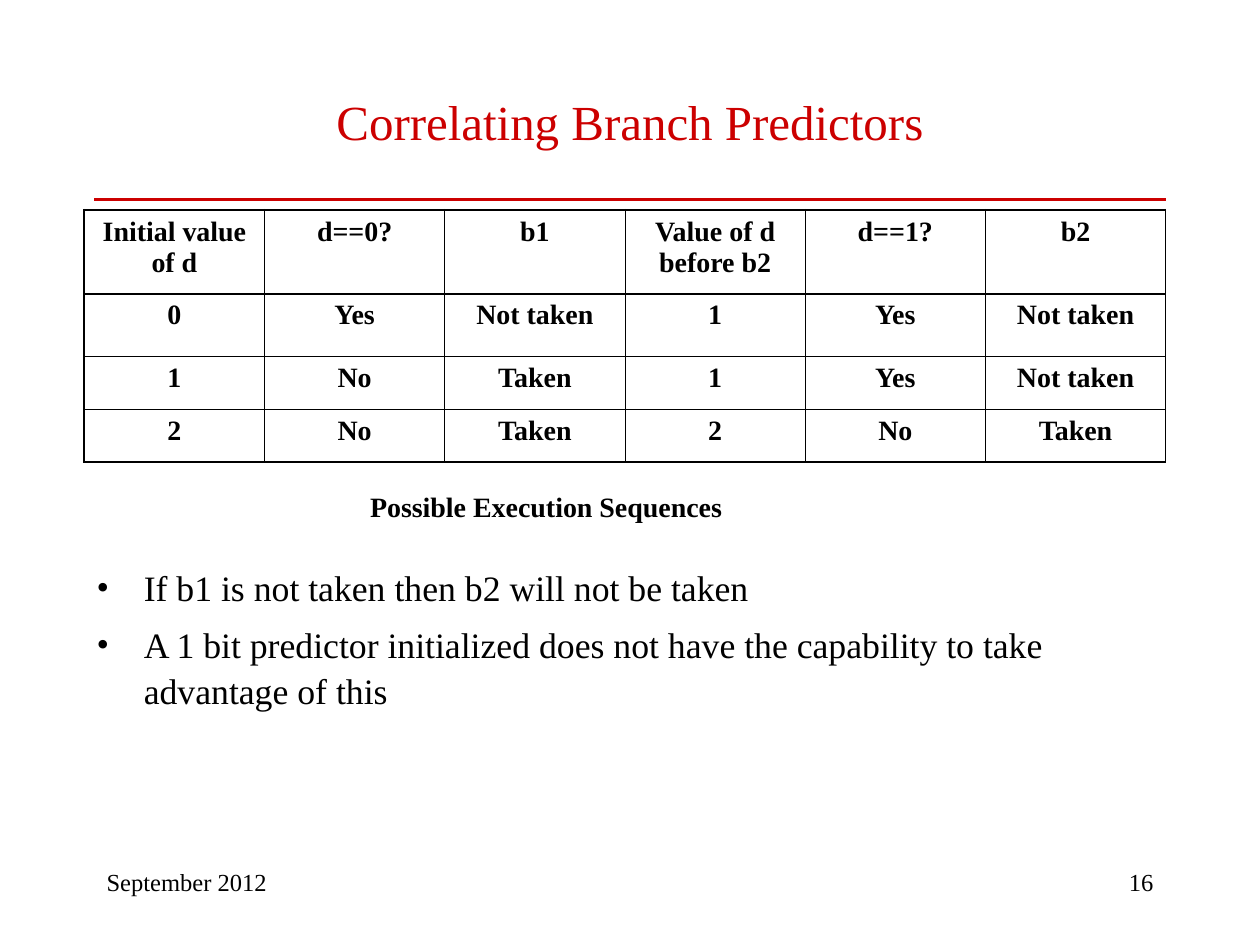
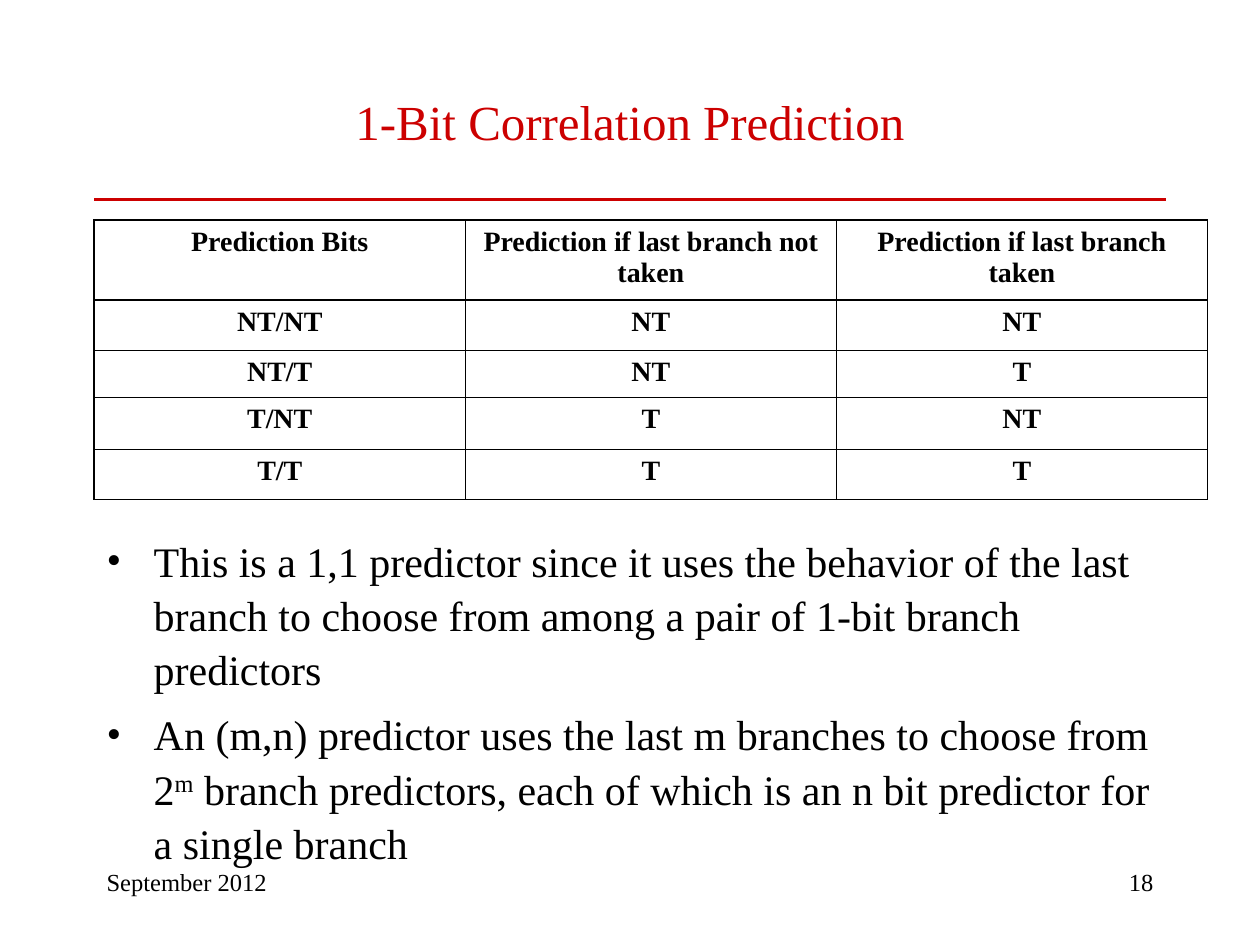
from dataclasses import dataclass

from lxml import etree
from pptx import Presentation
from pptx import util as u
from pptx.dml.color import RGBColor
from pptx.enum import shapes, text
from pptx.oxml import ns

SLIDES = [
    {
        "title": "Correlating Branch Predictors",
        "number": "16",
        "table": {
            "at": (1.7, 4.23),
            "width": 21.8,
            "row_heights": (1.69, 1.27, 1.06, 1.06),
            "rows": [
                ("Initial value of d", "d==0?", "b1", "Value of d before b2", "d==1?", "b2"),
                ("0", "Yes", "Not taken", "1", "Yes", "Not taken"),
                ("1", "No", "Taken", "1", "Yes", "Not taken"),
                ("2", "No", "Taken", "2", "No", "Taken"),
            ],
        },
        "caption": "Possible Execution Sequences",
        "bullets_at": (1.7, 11.22),
        "bullet_size": 20.4,
        "bullets": [
            "If b1 is not taken then b2 will not be taken",
            "A 1 bit predictor initialized does not have the capability to take advantage of this",
        ],
    },
    {
        "title": "1-Bit Correlation Prediction",
        "number": "18",
        "table": {
            "at": (1.9, 4.44),
            "width": 22.44,
            "row_heights": (1.61, 1.01, 0.95, 1.05, 1.01),
            "rows": [
                ("Prediction Bits", "Prediction if last branch not taken", "Prediction if last branch taken"),
                ("NT/NT", "NT", "NT"),
                ("NT/T", "NT", "T"),
                ("T/NT", "T", "NT"),
                ("T/T", "T", "T"),
            ],
        },
        "bullets_at": (1.9, 10.58),
        "bullet_size": 24,
        "bullets": [
            "This is a 1,1 predictor since it uses the behavior of the last branch "
            "to choose from among a pair of 1-bit branch predictors",
            "An (m,n) predictor uses the last m branches to choose from 2^m^ branch predictors, "
            "each of which is an n bit predictor for a single branch",
        ],
    },
]
DATE = "September 2012"


@dataclass(frozen=True)
class Theme:
    font: str = "Times New Roman"
    accent: str = "CC0000"
    ink: str = "000000"
    title_size: float = 28
    table_size: float = 16
    footer_size: float = 14
    rule_width: float = 1.5
    thick_border: float = 1.08
    thin_border: float = 0.45
    bullet_spacing: float = 1.085


THEME = Theme()
LEFT, CONTENT_WIDTH, RULE_TOP = 1.9, 21.6, 4.02
FOOTER_TOP, FOOTER_WIDTH = 17.36, 5.29
ALIGN = text.PP_ALIGN


def add_element(parent, tag, **attributes):
    return etree.SubElement(parent, ns.qn(tag), attributes)


def add_bullet(paragraph):
    properties = paragraph._p.get_or_add_pPr()
    indent = u.Cm(0.95)
    properties.set("marL", str(indent))
    properties.set("indent", str(-indent))
    add_element(add_element(properties, "a:buClr"), "a:srgbClr", val=THEME.ink)
    add_element(properties, "a:buFont", typeface=THEME.font)
    add_element(properties, "a:buChar", char="•")


def write_text(frame, content, size, color=THEME.ink, bold=False, align=ALIGN.LEFT,
               bullet=False, space_before=0, line_spacing=None):
    paragraphs = [content] if isinstance(content, str) else content
    for index, line in enumerate(paragraphs):
        paragraph = frame.add_paragraph() if index else frame.paragraphs[0]
        if bullet:
            add_bullet(paragraph)
        paragraph.alignment = align
        if index and space_before:
            paragraph.space_before = u.Pt(space_before)
        if line_spacing:
            paragraph.line_spacing = line_spacing
        for position, part in enumerate(line.split("^")):
            run = paragraph.add_run()
            run.text = part
            run.font.name = THEME.font
            run.font.size = u.Pt(size)
            run.font.bold = bold
            run.font.color.rgb = RGBColor.from_string(color)
            if position % 2:
                run._r.get_or_add_rPr().set("baseline", "30000")


def add_text(slide, content, left, top, width, height, wrap=True,
             anchor=text.MSO_ANCHOR.TOP, **style):
    shape = slide.shapes.add_textbox(*map(u.Cm, (left, top, width, height)))
    frame = shape.text_frame
    frame.word_wrap = wrap
    frame.vertical_anchor = anchor
    write_text(frame, content, **style)


def add_rule(slide):
    rule = slide.shapes.add_connector(
        shapes.MSO_CONNECTOR.STRAIGHT,
        *map(u.Cm, (LEFT, RULE_TOP, LEFT + CONTENT_WIDTH, RULE_TOP)))
    rule.line.color.rgb = RGBColor.from_string(THEME.accent)
    rule.line.width = u.Pt(THEME.rule_width)
    add_element(rule._element.spPr, "a:effectLst")


def set_borders(cell, thick_sides):
    properties = cell._tc.get_or_add_tcPr()
    for side in "LRTB":
        width = THEME.thick_border if side in thick_sides else THEME.thin_border
        line = add_element(properties, f"a:ln{side}", w=str(u.Pt(width)))
        add_element(add_element(line, "a:solidFill"), "a:srgbClr", val=THEME.ink)


def add_table(slide, at, width, row_heights, rows):
    row_count, column_count = len(rows), len(rows[0])
    table = slide.shapes.add_table(
        row_count, column_count,
        *map(u.Cm, (*at, width, sum(row_heights)))).table
    table.first_row = table.horz_banding = False
    for column in table.columns:
        column.width = u.Cm(width / column_count)
    for row, height in zip(table.rows, row_heights):
        row.height = u.Cm(height)
    for row_index, row in enumerate(rows):
        for column_index, label in enumerate(row):
            cell = table.cell(row_index, column_index)
            write_text(cell.text_frame, label, size=THEME.table_size, bold=True, align=ALIGN.CENTER)
            thick = {
                "L": column_index == 0,
                "R": column_index == column_count - 1,
                "T": row_index in (0, 1),
                "B": row_index in (0, row_count - 1),
            }
            set_borders(cell, [side for side in thick if thick[side]])
            cell.fill.background()


def add_frame(slide, title, number):
    add_rule(slide)
    add_text(slide, DATE, LEFT, FOOTER_TOP, FOOTER_WIDTH, 1.27, size=THEME.footer_size)
    add_text(slide, number, LEFT + CONTENT_WIDTH - FOOTER_WIDTH, FOOTER_TOP, FOOTER_WIDTH, 1.27,
             size=THEME.footer_size, align=ALIGN.RIGHT)
    add_text(slide, title, LEFT, 0.85, CONTENT_WIDTH, 3.17, anchor=text.MSO_ANCHOR.MIDDLE,
             size=THEME.title_size, color=THEME.accent, align=ALIGN.CENTER)


def main():
    presentation = Presentation()
    presentation.slide_width, presentation.slide_height = u.Cm(25.4), u.Cm(19.05)
    for content in SLIDES:
        slide = presentation.slides.add_slide(presentation.slide_layouts[6])
        add_frame(slide, content["title"], content["number"])
        add_table(slide, **content["table"])
        if "caption" in content:
            add_text(slide, content["caption"], 7.21, 9.74, 7.6, 0.94, wrap=False,
                     size=THEME.table_size, bold=True)
        add_text(slide, content["bullets"], *content["bullets_at"], CONTENT_WIDTH, 3.17,
                 size=content["bullet_size"], bullet=True, space_before=6,
                 line_spacing=THEME.bullet_spacing)
    presentation.save("out.pptx")


if __name__ == "__main__":
    main()
